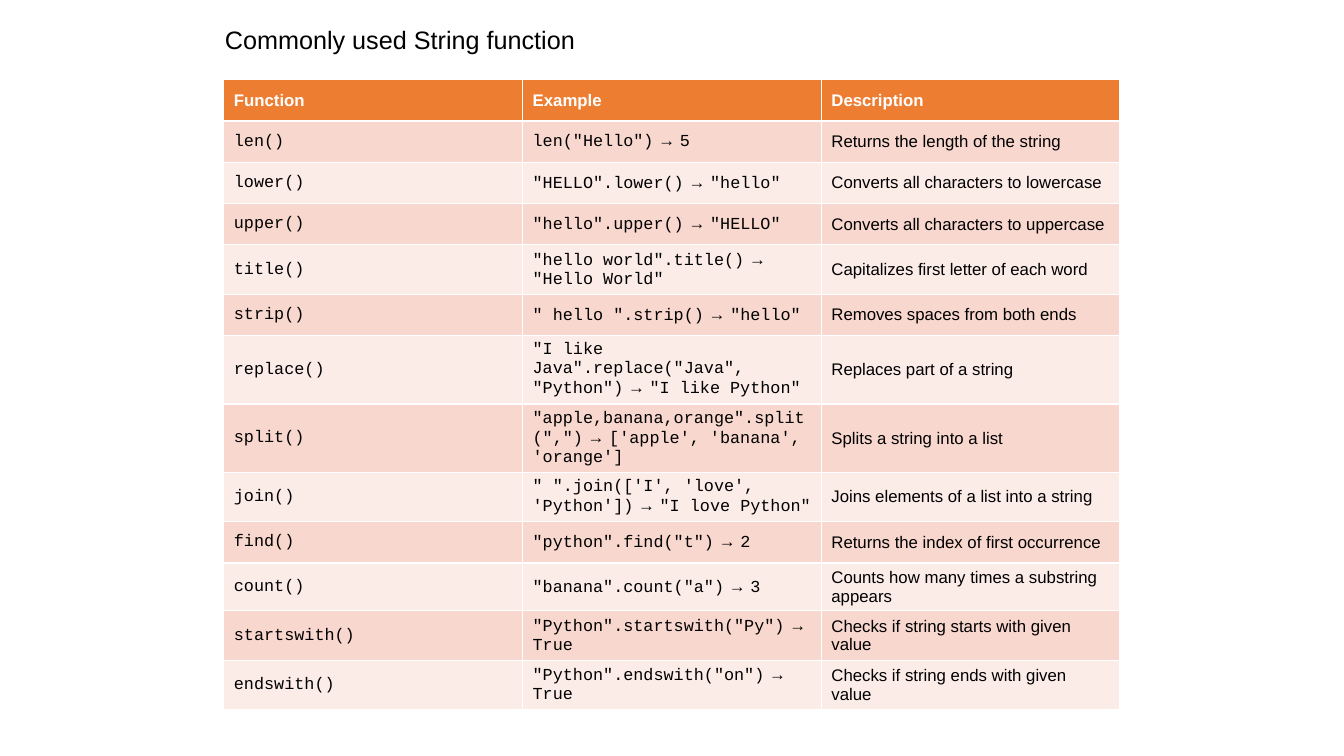
from pptx import Presentation
from pptx import util as u
from pptx.dml import color
from pptx.enum import text

SLIDE_SIZE = (13.33, 7.5)
TITLE_BOX = (2.13, 0.03, 10.37, 0.76)
TABLE_BOX = (2.22, 0.79, 8.89, 5.33)
PLAIN, CODE = "Arial", "Courier New"
BLACK, WHITE = "000000", "FFFFFF"
HEADER_FILL, BAND_FILLS = "ED7D31", ("F8D7CE", "FCECE8")
HEADINGS = ("Function", "Example", "Description")
FUNCTIONS = (
    ("len()", 'len("Hello")', "5", "Returns the length of the string"),
    ("lower()", '"HELLO".lower()', '"hello"', "Converts all characters to lowercase"),
    ("upper()", '"hello".upper()', '"HELLO"', "Converts all characters to uppercase"),
    ("title()", '"hello world".title()', '"Hello World"', "Capitalizes first letter of each word"),
    ("strip()", '" hello ".strip()', '"hello"', "Removes spaces from both ends"),
    ("replace()", '"I like Java".replace("Java", "Python")', '"I like Python"', "Replaces part of a string"),
    ("split()", '"apple,banana,orange".split(",")', "['apple', 'banana', 'orange']", "Splits a string into a list"),
    ("join()", "\" \".join(['I', 'love', 'Python'])", '"I love Python"', "Joins elements of a list into a string"),
    ("find()", '"python".find("t")', "2", "Returns the index of first occurrence"),
    ("count()", '"banana".count("a")', "3", "Counts how many times a substring appears"),
    ("startswith()", '"Python".startswith("Py")', "True", "Checks if string starts with given value"),
    ("endswith()", '"Python".endswith("on")', "True", "Checks if string ends with given value"),
)


def paint(target, hex_color):
    """Give a fill or a font a solid colour."""
    if hasattr(target, "solid"):
        target.solid()
        target.fore_color.rgb = color.RGBColor.from_string(hex_color)
    else:
        target.color.rgb = color.RGBColor.from_string(hex_color)


def assign(target, formats):
    """Set each attribute in a dict of format values."""
    for name, value in formats.items():
        setattr(target, name, value)


def write(paragraph, runs, size, hex_color=BLACK, bold=False):
    """Add (wording, font name) runs to a paragraph."""
    for wording, face in runs:
        run = paragraph.add_run()
        run.text = wording
        assign(run.font, {"name": face, "size": u.Pt(size), "bold": bold})
        paint(run.font, hex_color)


def add_heading(slide, box, wording):
    """Place the slide title in its box."""
    title = slide.shapes.title
    assign(title, dict(zip(("left", "top", "width", "height"), map(u.Inches, box))))
    assign(title.text_frame, {"vertical_anchor": text.MSO_ANCHOR.MIDDLE, "word_wrap": True})
    paragraph = title.text_frame.paragraphs[0]
    assign(paragraph, {"alignment": text.PP_ALIGN.LEFT, "line_spacing": 0.9})
    write(paragraph, [(wording, PLAIN)], 18)


def fill_row(row, contents, fill, **style):
    """Fill one table row with a list of runs for each cell."""
    for cell, runs in zip(row.cells, contents):
        cell.vertical_anchor = text.MSO_ANCHOR.MIDDLE
        paint(cell.fill, fill)
        write(cell.text_frame.paragraphs[0], runs, 12, **style)


def add_function_table(slide, box):
    """Place the table of string functions in its box."""
    frame = slide.shapes.add_table(len(FUNCTIONS) + 1, len(HEADINGS), *map(u.Inches, box))
    header, *rows = frame.table.rows
    fill_row(header, [[(heading, PLAIN)] for heading in HEADINGS],
             HEADER_FILL, hex_color=WHITE, bold=True)
    for index, (row, entry) in enumerate(zip(rows, FUNCTIONS)):
        function, call, result, description = entry
        example = [(call, CODE), (" → ", PLAIN), (result, CODE)]
        fill_row(row, [[(function, CODE)], example, [(description, PLAIN)]],
                 BAND_FILLS[index % 2])


def main():
    """Build and save the slide."""
    deck = Presentation()
    deck.slide_width, deck.slide_height = map(u.Inches, SLIDE_SIZE)
    slide = deck.slides.add_slide(deck.slide_layouts[5])
    add_heading(slide, TITLE_BOX, "Commonly used String function")
    add_function_table(slide, TABLE_BOX)
    deck.save("out.pptx")


if __name__ == "__main__":
    main()
